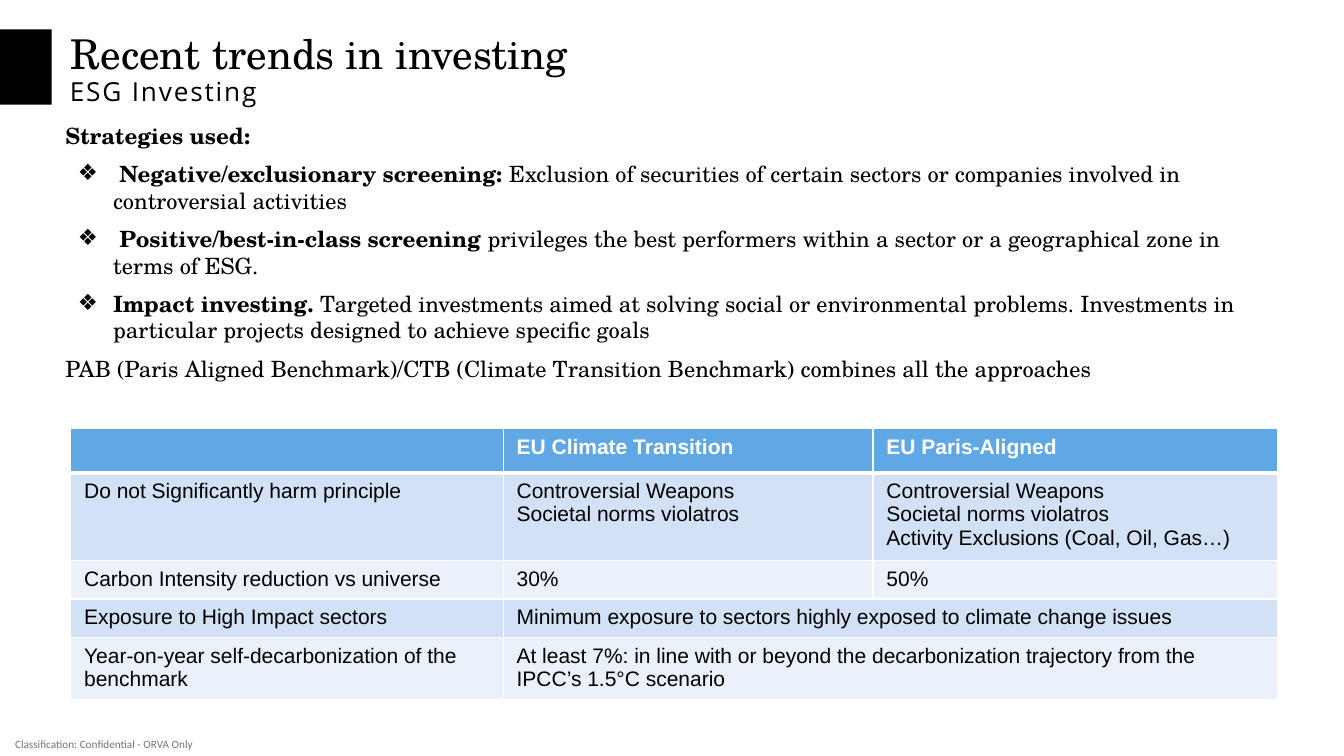
from pptx import Presentation
from pptx.dml.color import RGBColor
from pptx.enum.shapes import MSO_SHAPE
from pptx.enum.text import MSO_ANCHOR, MSO_AUTO_SIZE, PP_ALIGN
from pptx.oxml import parse_xml
from pptx.oxml.ns import nsdecls
from pptx.util import Cm, Pt

COLORS = {"black": "000000", "white": "FFFFFF", "grey": "737373",
          "header": "60A7E5", "odd": "D2E1F5", "even": "EAF1FA"}
SERIF = "TeX Gyre Schola"
STRATEGIES = [
    ("Strategies used:", "", False),
    (" Negative/exclusionary screening: ", "Exclusion of securities of certain sectors or "
     "companies involved in controversial activities", True),
    (" Positive/best-in-class screening ", "privileges the best performers within a sector or "
     "a geographical zone in terms of ESG.", True),
    ("Impact investing. ", "Targeted investments aimed at solving social or environmental "
     "problems. Investments in particular projects designed to achieve specific goals", True),
    ("", "PAB (Paris Aligned Benchmark)/CTB (Climate Transition Benchmark) combines all "
     "the approaches", False),
]
EXCLUSIONS = "Controversial Weapons\nSocietal norms violatros"
ROWS = [
    ("", "EU Climate Transition", "EU Paris-Aligned"),
    ("Do not Significantly harm principle", EXCLUSIONS,
     EXCLUSIONS + "\nActivity Exclusions (Coal, Oil, Gas…)"),
    ("Carbon Intensity reduction vs universe", "30%", "50%"),
    ("Exposure to High Impact sectors",
     "Minimum exposure to sectors highly exposed to climate change issues"),
    ("Year-on-year self-decarbonization of the benchmark",
     "At least 7%: in line with or beyond the decarbonization trajectory from the "
     "IPCC’s 1.5°C scenario"),
]
COL_WIDTHS = (10.9, 9.32, 10.19)
ROW_HEIGHTS = (1.04, 2.21, 0.97, 0.97, 1.57)


def rgb(name):
    """Return the named colour."""
    return RGBColor.from_string(COLORS[name])


def style_run(r, size, font, color="black", bold=False):
    """Apply the font settings of one run."""
    r.font.size, r.font.name, r.font.bold = Pt(size), font, bold
    r.font.color.rgb = rgb(color)


def style_frame(tf, size, font, color="black", bold=False):
    """Apply the same font settings to all runs of a frame."""
    for p in tf.paragraphs:
        for r in p.runs:
            style_run(r, size, font, color, bold)


def setup_box(sp, box, anchor=MSO_ANCHOR.TOP, margins=(0, 0, 0, 0)):
    """Move a text shape and set up its frame."""
    sp.left, sp.top, sp.width, sp.height = map(Cm, box)
    tf = sp.text_frame
    tf.word_wrap, tf.auto_size, tf.vertical_anchor = True, MSO_AUTO_SIZE.NONE, anchor
    tf.margin_left, tf.margin_top, tf.margin_right, tf.margin_bottom = map(Cm, margins)
    return tf


def set_bullet(p, bulleted):
    """Give a paragraph a diamond bullet or none."""
    pPr = p._p.get_or_add_pPr()
    margin, indent = (Cm(1.2), Cm(-0.89)) if bulleted else (0, 0)
    pPr.set("marL", str(margin))
    pPr.set("indent", str(indent))
    if bulleted:
        pPr.append(parse_xml(f'<a:buClr {nsdecls("a")}><a:srgbClr val="{COLORS["black"]}"/></a:buClr>'))
        pPr.append(parse_xml(f'<a:buChar {nsdecls("a")} char="❖"/>'))
    else:
        pPr.append(parse_xml(f'<a:buNone {nsdecls("a")}/>'))


def add_marker(s):
    """Add the black block beside the title."""
    sp = s.shapes.add_shape(MSO_SHAPE.RECTANGLE, 0, Cm(0.74), Cm(1.3), Cm(1.9))
    sp.shadow.inherit = False
    sp.fill.solid()
    sp.fill.fore_color.rgb = rgb("black")
    sp.line.fill.background()


def fill_title(sp, text):
    """Write the slide title."""
    tf = setup_box(sp, (1.78, 0.46, 30.02, 1.04), margins=(0, 0.13, 0.25, 0.13))
    tf.text = text
    p = tf.paragraphs[0]
    p.alignment, p.line_spacing = PP_ALIGN.LEFT, 1.1
    style_frame(tf, 29.3, SERIF)


def fill_subtitle(sp, text):
    """Write the spaced subtitle."""
    tf = setup_box(sp, (1.76, 1.91, 21.41, 0.79), MSO_ANCHOR.MIDDLE)
    tf.text = text
    p = tf.paragraphs[0]
    p.space_before = Pt(8)
    set_bullet(p, False)
    style_frame(tf, 18.7, "Open Sans")
    p.runs[0]._r.get_or_add_rPr().set("spc", "130")


def fill_strategies(sp):
    """Write the list of strategies with bold lead-ins."""
    tf = setup_box(sp, (1.65, 3.07, 30.45, 7.75))
    for i, (lead, rest, bulleted) in enumerate(STRATEGIES):
        p = tf.add_paragraph() if i else tf.paragraphs[0]
        p.space_before = Pt(8)
        set_bullet(p, bulleted)
        for text, bold in ((lead, True), (rest, False)):
            if text:
                r = p.add_run()
                r.text = text
                style_run(r, 16, SERIF, bold=bold)


def set_borders(cell, row):
    """Draw white cell borders, thick below the header."""
    tcPr = cell._tc.get_or_add_tcPr()
    widths = {"L": 1, "R": 1, "T": 3 if row == 1 else 1, "B": 1 if row else 3}
    for i, (side, width) in enumerate(widths.items()):
        tcPr.insert(i, parse_xml(
            f'<a:ln{side} {nsdecls("a")} w="{Pt(width)}"><a:solidFill>'
            f'<a:srgbClr val="{COLORS["white"]}"/></a:solidFill></a:ln{side}>'))


def format_cell(cell, row):
    """Set the fill, margins and borders of a cell."""
    cell.fill.solid()
    cell.fill.fore_color.rgb = rgb(("odd" if row % 2 else "even") if row else "header")
    cell.margin_left = cell.margin_right = Cm(0.34)
    cell.margin_top = cell.margin_bottom = Cm(0.17)
    set_borders(cell, row)


def add_benchmark_table(s):
    """Add the comparison of the two benchmarks."""
    table = s.shapes.add_table(len(ROWS), len(COL_WIDTHS), Cm(1.78), Cm(10.8),
                               Cm(sum(COL_WIDTHS)), Cm(sum(ROW_HEIGHTS))).table
    for col, width in zip(table.columns, COL_WIDTHS):
        col.width = Cm(width)
    for i, texts in enumerate(ROWS):
        table.rows[i].height = Cm(ROW_HEIGHTS[i])
        for j in range(len(COL_WIDTHS)):
            format_cell(table.cell(i, j), i)
        if len(texts) == 2:
            table.cell(i, 1).merge(table.cell(i, 2))
        for j, text in enumerate(texts):
            tf = table.cell(i, j).text_frame
            tf.text = text
            style_frame(tf, 15, "Arial", "black" if i else "white", i == 0)


def add_classification(s, text):
    """Add the classification line at the bottom."""
    sp = s.shapes.add_textbox(0, 0, 0, 0)
    tf = setup_box(sp, (0.38, 18.42, 4.8, 0.64), MSO_ANCHOR.MIDDLE)
    tf.text = text
    style_frame(tf, 8, "Calibri", "grey")


def main():
    """Build the slide and save it."""
    prs = Presentation()
    prs.slide_width, prs.slide_height = Cm(33.87), Cm(19.05)
    s = prs.slides.add_slide(prs.slide_layouts[3])
    title, strategies, subtitle = s.placeholders
    add_classification(s, "Classification: Confidential - ORVA Only")
    add_marker(s)
    fill_title(title, "Recent trends in investing")
    fill_strategies(strategies)
    fill_subtitle(subtitle, "ESG Investing")
    add_benchmark_table(s)
    prs.save("out.pptx")


if __name__ == "__main__":
    main()
